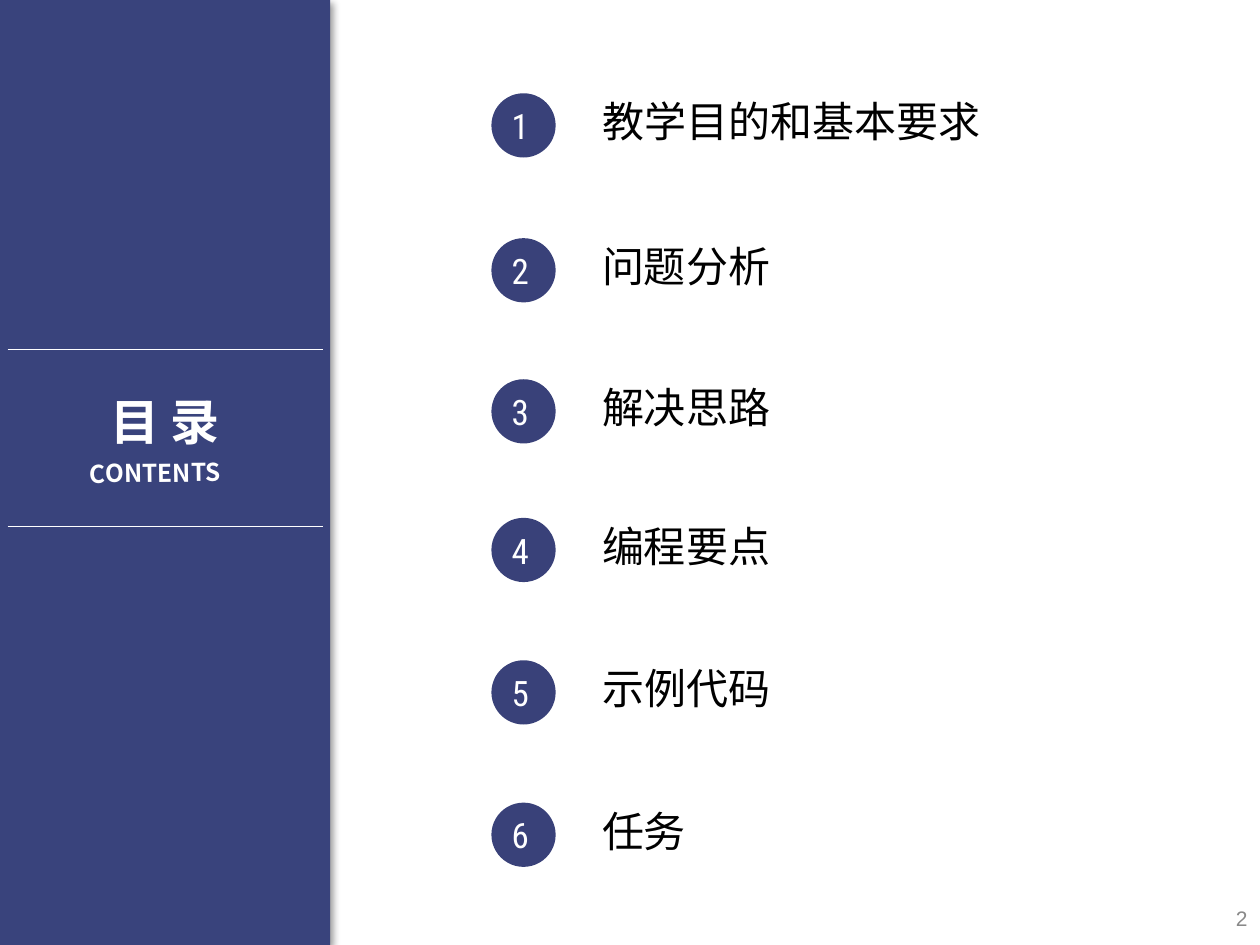
from lxml import etree
from pptx import Presentation
from pptx.dml.color import RGBColor
from pptx.enum.shapes import MSO_CONNECTOR, MSO_SHAPE
from pptx.enum.text import MSO_ANCHOR, MSO_AUTO_SIZE, PP_ALIGN
from pptx.oxml.ns import qn
from pptx.util import Inches, Pt

LEFT, CENTER, RIGHT = PP_ALIGN.LEFT, PP_ALIGN.CENTER, PP_ALIGN.RIGHT
TOP, MIDDLE = MSO_ANCHOR.TOP, MSO_ANCHOR.MIDDLE
FIT, NO_FIT = MSO_AUTO_SIZE.SHAPE_TO_FIT_TEXT, MSO_AUTO_SIZE.NONE
COLORS = {"panel": "39437C", "badge": "394179", "white": "FFFFFF",
          "label": "000000", "page": "898989", "shadow": "000000"}
CJK, DIGITS, PLAIN = "Noto Sans CJK SC", "Roboto Condensed", "Arial"


def add_text(shapes, box, text, size, font, color, align=LEFT, bold=False,
             anchor=TOP, wrap=True, fit=FIT):
    text_box = shapes.add_textbox(*map(Inches, box))
    frame = text_box.text_frame
    frame.word_wrap = wrap
    frame.auto_size = fit
    frame.vertical_anchor = anchor
    paragraph = frame.paragraphs[0]
    paragraph.alignment = align
    run = paragraph.add_run()
    run.text = text
    run.font.size = Pt(size)
    run.font.name = font
    run.font.bold = bold
    run.font.color.rgb = RGBColor.from_string(COLORS[color])
    etree.SubElement(run.font._element, qn("a:ea"), typeface=font)
    return text_box


def add_solid(shapes, preset, box, color):
    solid = shapes.add_shape(preset, *map(Inches, box))
    solid.shadow.inherit = False
    solid.fill.solid()
    solid.fill.fore_color.rgb = RGBColor.from_string(COLORS[color])
    solid.line.fill.background()
    return solid


prs = Presentation()
prs.slide_width, prs.slide_height = Inches(10), Inches(7.5)
slide = prs.slides.add_slide(prs.slide_layouts[6])
shapes = slide.shapes

# Side panel with its drop shadow
panel = add_solid(shapes, MSO_SHAPE.RECTANGLE, (-0.01, 0, 2.63, 7.5), "panel")
effects = panel._element.spPr.find(qn("a:effectLst"))
shadow = etree.SubElement(effects, qn("a:outerShdw"), blurRad=str(Pt(4)),
                          dist=str(Pt(3)), dir=str(45 * 60000),
                          algn="tl", rotWithShape="0")
shadow_color = etree.SubElement(shadow, qn("a:srgbClr"), val=COLORS["shadow"])
etree.SubElement(shadow_color, qn("a:alpha"), val="40000")

add_text(shapes, (7.75, 7.09, 2.25, 0.4), "2", 12, PLAIN, "page", RIGHT,
         anchor=MIDDLE, fit=NO_FIT)

# Heading between two rules
for y in (2.77, 4.18):
    rule = shapes.add_connector(MSO_CONNECTOR.STRAIGHT, Inches(0.06), Inches(y),
                                Inches(2.56), Inches(y))
    rule.line.color.rgb = RGBColor.from_string(COLORS["white"])
    rule.line.width = Pt(0.5)
    etree.SubElement(rule._element.spPr, qn("a:effectLst"))

add_text(shapes, (0.77, 3.06, 1.08, 0.57), "目 录", 28, CJK, "white", CENTER,
         bold=True, wrap=False)
subtitle = add_text(shapes, (0.08, 3.55, 2.45, 0.4), "CONTENTS", 14, CJK, "white",
                    CENTER, bold=True, anchor=MIDDLE, fit=NO_FIT)
subtitle.rotation = 359.3
subtitle.text_frame.margin_right = Inches(0.24)

# Contents: label, label width, top of the numbered badge
topics = [
    ("教学目的和基本要求", 3.31, 0.74),
    ("问题分析", 2.56, 1.89),
    ("解决思路", 2.56, 3.01),
    ("编程要点", 2.56, 4.11),
    ("示例代码", 1.65, 5.24),
    ("任务", 0.9, 6.37),
]
for number, (topic, width, top) in enumerate(topics, start=1):
    badge = shapes.add_group_shape().shapes
    add_solid(badge, MSO_SHAPE.OVAL, (3.9, top, 0.51, 0.51), "badge")
    add_text(badge, (3.89, top + 0.04, 0.48, 0.44), str(number), 20, DIGITS,
             "white", CENTER)
    add_text(shapes, (4.68, top - 0.03, width, 0.5), topic, 24, CJK, "label")

prs.save("out.pptx")
